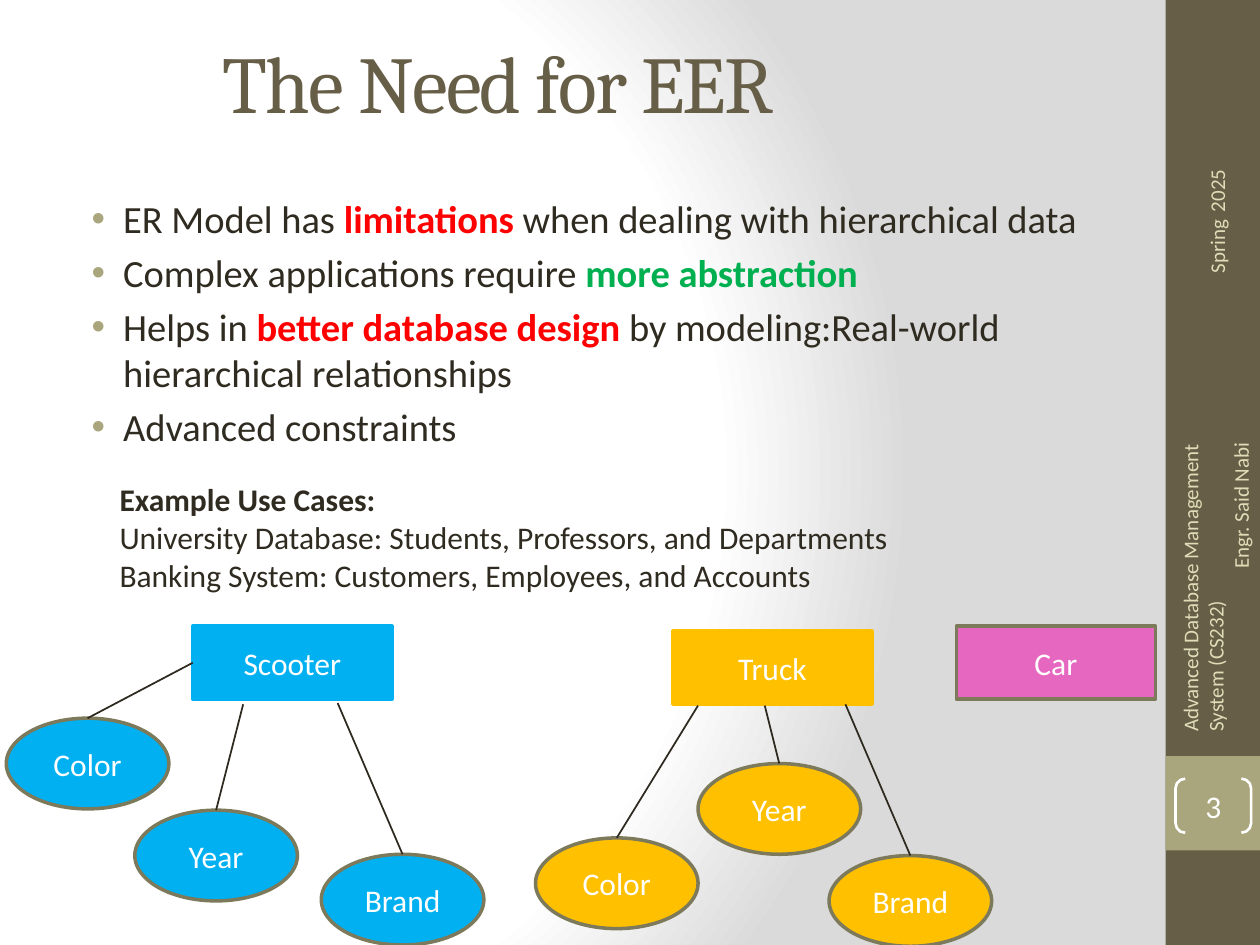
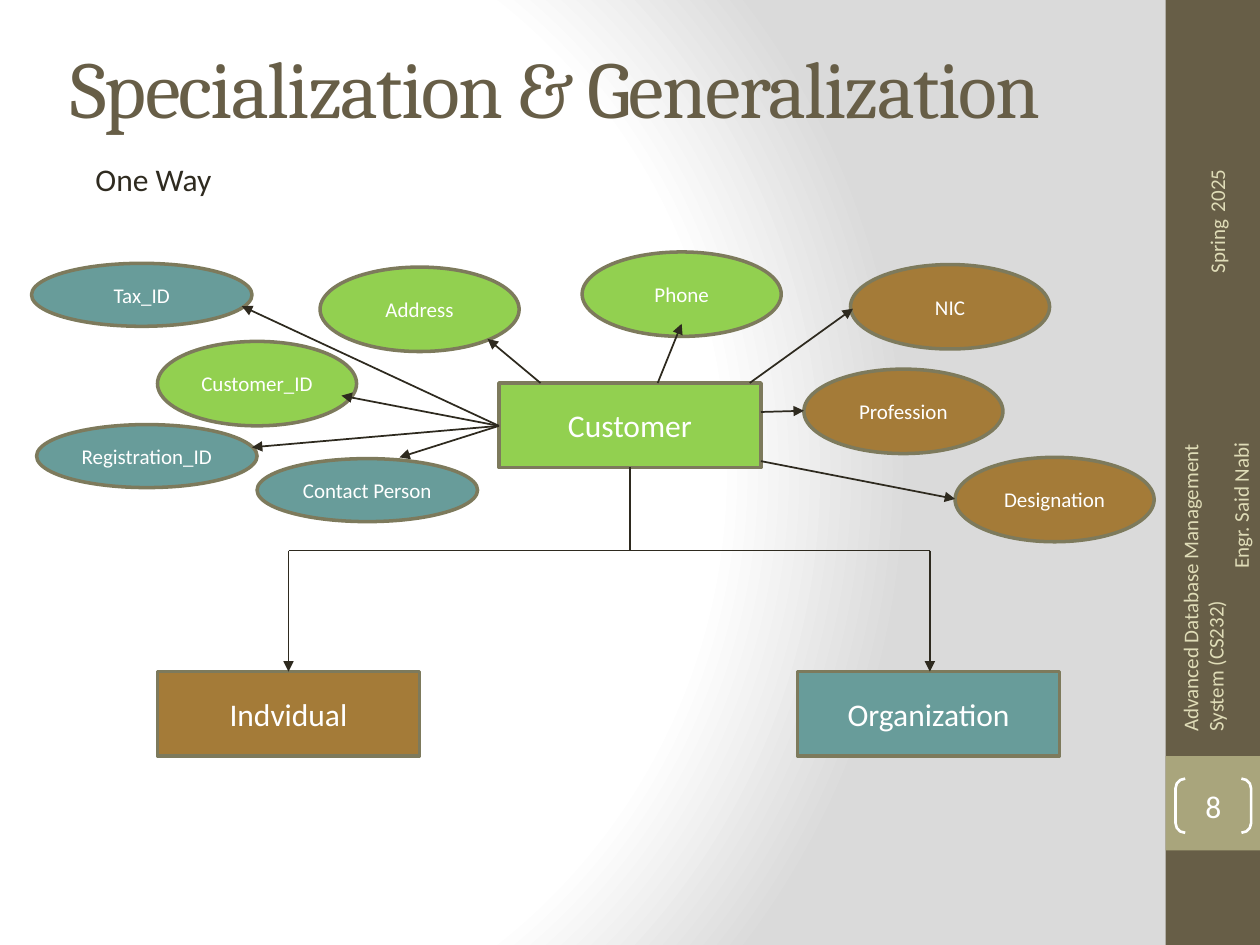
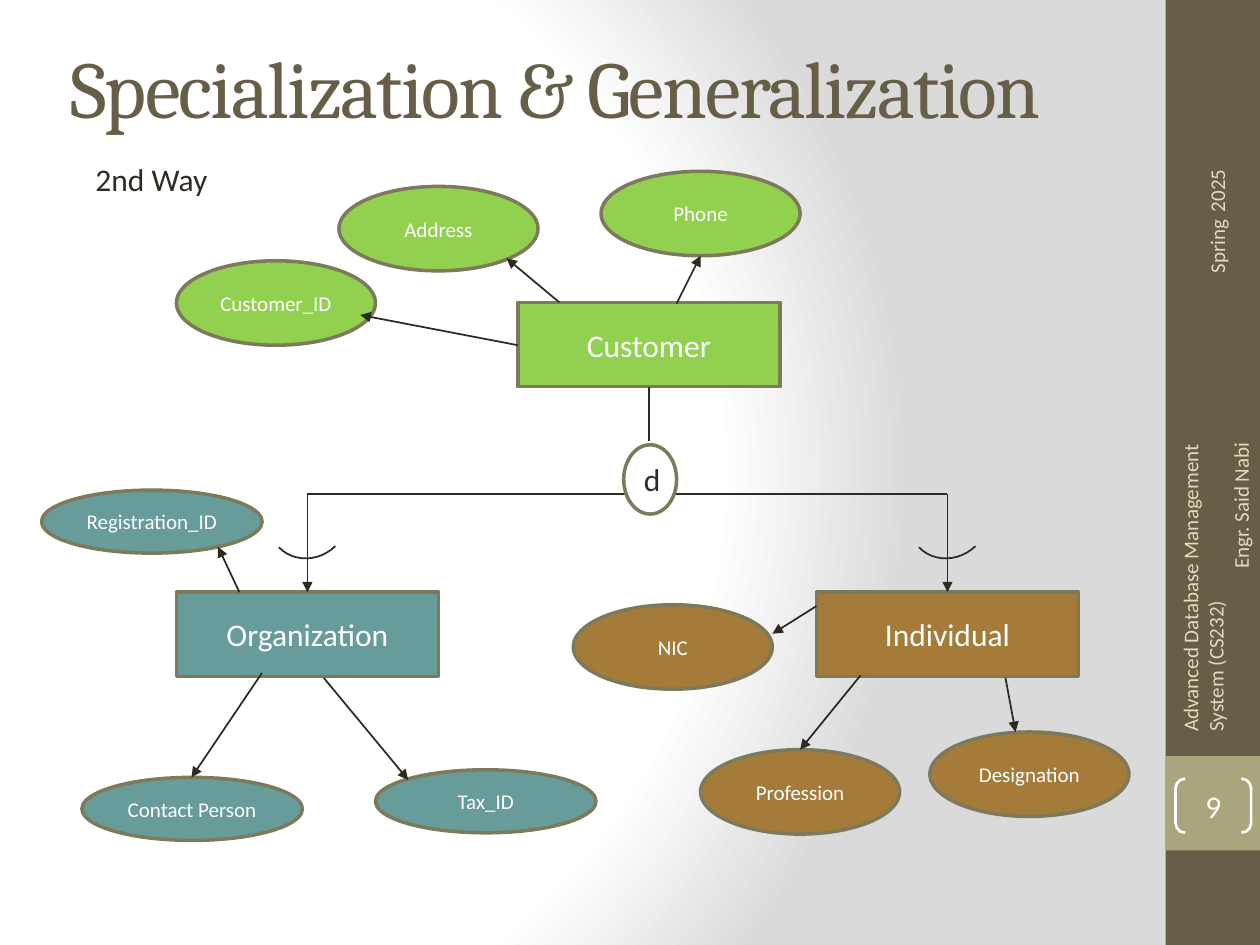
"""Build three slides on the enhanced entity-relationship model."""
from dataclasses import dataclass
from typing import NamedTuple

from lxml import etree
from pptx import Presentation
from pptx.dml.color import RGBColor
from pptx.enum import shapes, text
from pptx.oxml import ns, parse_xml
from pptx.util import Inches, Pt

COLORS = {
    "paper": "FFFFFF", "shade": "DADADA", "band": "675E47", "badge": "A9A57C",
    "footer": "DFDCB7", "gap": "ECEAD4", "ink": "2F2B20", "line": "2E2A1F",
    "outline": "7D7A5C", "red": "FF0000", "green": "00B050",
    "scooter": "00B0F0", "truck": "FFC000", "car": "E567C0",
    "customer": "92D050", "individual": "A47B38", "organization": "689C9A",
}
BODY_FONT, TITLE_FONT = "Calibri", "Cambria"
LEFT, CENTER, RIGHT = text.PP_ALIGN.LEFT, text.PP_ALIGN.CENTER, text.PP_ALIGN.RIGHT
PRESET = shapes.MSO_SHAPE


class Run(NamedTuple):
    words: str
    size: float = 18
    color: str = "ink"
    bold: bool = False
    font: str = BODY_FONT
    spacing: int = 0


@dataclass(frozen=True)
class Para:
    runs: list[Run]
    align: text.PP_ALIGN = LEFT
    indent: float = 0
    bullet: bool = False


class Box(NamedTuple):
    left: float
    top: float
    width: float
    height: float


@dataclass(frozen=True)
class Kind:
    preset: shapes.MSO_SHAPE
    width: float
    height: float
    size: float


class Node(NamedTuple):
    label: str
    kind: Kind
    fill: str
    left: float
    top: float
    outline: str = "outline"
    ink: str = "paper"


class Link(NamedTuple):
    x1: float
    y1: float
    x2: float
    y2: float
    arrow: bool = True


VEHICLE = Kind(PRESET.RECTANGLE, 1.58, 0.58, 18)
FEATURE = Kind(PRESET.OVAL, 1.29, 0.72, 18)
ENTITY = Kind(PRESET.RECTANGLE, 2.08, 0.67, 18)
ATTRIBUTE = Kind(PRESET.OVAL, 1.58, 0.67, 12)
WIDE_ATTRIBUTE = Kind(PRESET.OVAL, 1.75, 0.5, 12)
DISJOINT = Kind(PRESET.OVAL, 0.42, 0.55, 18)


def rgb(name: str) -> RGBColor:
    return RGBColor.from_string(COLORS[name])


def inches(box: Box) -> list[Inches]:
    return [Inches(length) for length in box]


def write(frame, paras: list[Para], middle: bool = False, wrap: bool = True) -> None:
    frame.word_wrap = wrap
    frame.vertical_anchor = text.MSO_ANCHOR.MIDDLE if middle else text.MSO_ANCHOR.TOP
    for index, para in enumerate(paras):
        line = frame.add_paragraph() if index else frame.paragraphs[0]
        line.alignment = para.align
        props = line._p.get_or_add_pPr()
        if para.indent:
            props.set("marL", str(Inches(para.indent)))
        if para.bullet:
            line.space_before = Pt(4.4)
            props.set("indent", str(Inches(-0.25)))
            tint = etree.SubElement(props, ns.qn("a:buClr"))
            etree.SubElement(tint, ns.qn("a:srgbClr"), val=COLORS["badge"])
            etree.SubElement(props, ns.qn("a:buFont"), typeface="Arial")
            etree.SubElement(props, ns.qn("a:buChar"), char="•")
        for part in para.runs:
            run = line.add_run()
            run.text = part.words
            run.font.size = Pt(part.size)
            run.font.name = part.font
            run.font.bold = part.bold
            run.font.color.rgb = rgb(part.color)
            if part.spacing:
                run._r.get_or_add_rPr().set("spc", str(part.spacing))


def add_text(slide, box: Box, paras: list[Para], middle: bool = False,
             wrap: bool = True, rotation: float = 0) -> None:
    label = slide.shapes.add_textbox(*inches(box))
    label.rotation = rotation
    write(label.text_frame, paras, middle, wrap)


def add_preset(slide, preset: shapes.MSO_SHAPE, box: Box, fill: str = "",
               outline: str = "", weight: float = 2):
    figure = slide.shapes.add_shape(preset, *inches(box))
    figure.shadow.inherit = False
    if fill:
        figure.fill.solid()
        figure.fill.fore_color.rgb = rgb(fill)
    else:
        figure.fill.background()
    if outline:
        figure.line.color.rgb = rgb(outline)
        figure.line.width = Pt(weight)
    else:
        figure.line.fill.background()
    return figure


def add_node(slide, node: Node) -> None:
    kind = node.kind
    box = Box(node.left, node.top, kind.width, kind.height)
    figure = add_preset(slide, kind.preset, box, node.fill, node.outline)
    write(figure.text_frame, [Para([Run(node.label, kind.size, node.ink)], CENTER)], middle=True)


def add_link(slide, link: Link) -> None:
    ends = [Inches(length) for length in link[:4]]
    connector = slide.shapes.add_connector(shapes.MSO_CONNECTOR.STRAIGHT, *ends)
    connector.line.color.rgb = rgb("line")
    connector.line.width = Pt(1)
    if link.arrow:
        etree.SubElement(connector.line._get_or_add_ln(), ns.qn("a:tailEnd"), type="triangle")
    etree.SubElement(connector._element.spPr, ns.qn("a:effectLst"))


def add_diagram(slide, nodes: list[Node], links: list[Link]) -> None:
    for node in nodes:
        add_node(slide, node)
    for link in links:
        add_link(slide, link)


def set_background(prs) -> None:
    fill = prs.slide_master.background.fill
    fill.solid()
    props = prs.slide_master.element.find(".//" + ns.qn("p:bgPr"))
    stops = "".join(
        f'<a:gs pos="{pos}"><a:srgbClr val="{COLORS[name]}"/></a:gs>'
        for pos, name in ((0, "paper"), (75000, "paper"), (100000, "shade")))
    gradient = parse_xml(
        f'<a:gradFill {ns.nsdecls("a")} rotWithShape="1"><a:gsLst>{stops}</a:gsLst>'
        '<a:path path="circle"><a:fillToRect l="20000" t="50000" r="100000" b="50000"/>'
        '</a:path></a:gradFill>')
    props.replace(props.find(ns.qn("a:solidFill")), gradient)


def start_slide(prs, number: int, title: str, left: float, top: float):
    slide = prs.slides.add_slide(prs.slide_layouts[6])
    add_preset(slide, PRESET.RECTANGLE, Box(9.25, 0, 0.75, 7.5), "band")
    add_preset(slide, PRESET.RECTANGLE, Box(9.25, 6, 0.75, 0.75), "badge")
    course = Run("Advanced Database Management System (CS232)", 12, "footer")
    teacher = Run("Engr. Said Nabi", 12, "footer")
    add_text(slide, Box(8.35, 4.51, 2.59, 0.4),
             [Para([course], indent=0.1), Para([teacher], RIGHT)], middle=True, rotation=270)
    term = [Run("Spring", 12, "footer"), Run(" ", 18, "gap"), Run("2025", 12, "footer")]
    add_text(slide, Box(9.11, 1.55, 1.03, 0.4), [Para(term)], wrap=False, rotation=270)
    bracket = add_preset(slide, PRESET.DOUBLE_BRACKET, Box(9.33, 6.18, 0.6, 0.43),
                         outline="paper", weight=1.5)
    bracket.adjustments[0] = 0.179
    frame = bracket.text_frame
    frame.margin_left = frame.margin_right = frame.margin_top = frame.margin_bottom = 0
    write(frame, [Para([Run(str(number), color="paper")], CENTER)], middle=True)
    heading = Run(title, 46, "band", font=TITLE_FONT, spacing=-100)
    add_text(slide, Box(left, top, 8.33, 1.25), [Para([heading])], middle=True)
    return slide


def start_way_slide(prs, number: int, way: str):
    slide = start_slide(prs, number, "Specialization & Generalization", 0.46, 0.06)
    add_text(slide, Box(0.66, 1.22, 1.13, 0.4), [Para([Run(way)])], wrap=False)
    return slide


def add_customer(slide, dx: float, dy: float) -> None:
    nodes = [
        Node("Customer", ENTITY, "customer", 3.96 + dx, 3.04 + dy),
        Node("Customer_ID", ATTRIBUTE, "customer", 1.25 + dx, 2.71 + dy),
        Node("Address", ATTRIBUTE, "customer", 2.54 + dx, 2.12 + dy),
        Node("Phone", ATTRIBUTE, "customer", 4.62 + dx, 2 + dy),
    ]
    links = [
        Link(3.96 + dx, 3.38 + dy, 2.71 + dx, 3.14 + dy),
        Link(4.29 + dx, 3.04 + dy, 3.87 + dx, 2.69 + dy),
    ]
    add_diagram(slide, nodes, links)


def branches(left: float, right: float, bar: float, bottom: float) -> list[Link]:
    drops = [Link(x, bar, x, bottom) for x in (left, right)]
    return drops + [Link(left, bar, right, bar, arrow=False)]


def build_need(prs) -> None:
    slide = start_slide(prs, 3, "The Need for EER", 1.67, 0.02)
    points = [
        [Run("ER Model has ", 22), Run("limitations", 22, "red", True),
         Run(" when dealing with hierarchical data", 22)],
        [Run("Complex applications require ", 22), Run("more abstraction", 22, "green", True)],
        [Run("Helps in ", 22), Run("better database design ", 22, "red", True),
         Run("by modeling:Real-world hierarchical relationships", 22)],
        [Run("Advanced constraints", 22)],
    ]
    add_text(slide, Box(0.5, 1.5, 8.67, 2.42),
             [Para(runs, indent=0.38, bullet=True) for runs in points])
    add_text(slide, Box(0.85, 3.76, 7.08, 1.01), [
        Para([Run("Example Use Cases:", bold=True)]),
        Para([Run("University Database: Students, Professors, and Departments")]),
        Para([Run("Banking System: Customers, Employees, and Accounts")]),
    ])
    nodes = [
        Node("Scooter", VEHICLE, "scooter", 1.53, 4.97, "scooter"),
        Node("Car", VEHICLE, "car", 7.59, 4.97),
        Node("Truck", VEHICLE, "truck", 5.34, 5.01, "truck"),
    ]
    feature_spots = {
        "scooter": [(0.05, 5.7), (1.07, 6.43), (2.55, 6.78)],
        "truck": [(4.25, 6.65), (5.54, 6.06), (6.58, 6.79)],
    }
    anchors = {
        "scooter": [(1.53, 5.26), (1.93, 5.59), (2.68, 5.58)],
        "truck": [(5.54, 5.6), (6.07, 5.6), (6.71, 5.59)],
    }
    links = []
    for vehicle, spots in feature_spots.items():
        for label, (left, top), anchor in zip(("Color", "Year", "Brand"), spots, anchors[vehicle]):
            nodes.append(Node(label, FEATURE, vehicle, left, top))
            links.append(Link(left + FEATURE.width / 2, top, *anchor, arrow=False))
    add_diagram(slide, nodes, links)


def build_one_way(prs) -> None:
    slide = start_way_slide(prs, 8, "One Way")
    add_customer(slide, 0, 0)
    nodes = [
        Node("Indvidual", ENTITY, "individual", 1.25, 5.33),
        Node("Organization", ENTITY, "organization", 6.33, 5.33),
        Node("NIC", ATTRIBUTE, "individual", 6.75, 2.1),
        Node("Profession", ATTRIBUTE, "individual", 6.38, 2.93),
        Node("Designation", ATTRIBUTE, "individual", 7.58, 3.63),
        Node("Registration_ID", WIDE_ATTRIBUTE, "organization", 0.29, 3.37),
        Node("Tax_ID", WIDE_ATTRIBUTE, "organization", 0.25, 2.09),
        Node("Contact Person", WIDE_ATTRIBUTE, "organization", 2.04, 3.64),
    ]
    links = branches(2.29, 7.38, 4.37, 5.33) + [
        Link(5, 4.37, 5, 3.71, arrow=False),
        Link(3.96, 3.38, 1.92, 2.43),
        Link(3.96, 3.38, 2, 3.55),
        Link(3.96, 3.38, 3.17, 3.63),
        Link(5.22, 3.04, 5.41, 2.57),
        Link(5.95, 3.04, 6.77, 2.45),
        Link(6.04, 3.66, 7.58, 3.96),
        Link(6.04, 3.27, 6.38, 3.26),
    ]
    add_diagram(slide, nodes, links)


def build_second_way(prs) -> None:
    slide = start_way_slide(prs, 9, "2nd Way")
    add_customer(slide, 0.15, -0.64)
    organization_x, individual_x = 2.44, 7.52
    nodes = [
        Node("Organization", ENTITY, "organization", 1.4, 4.7),
        Node("Individual", ENTITY, "individual", 6.48, 4.7),
        Node("NIC", ATTRIBUTE, "individual", 4.55, 4.8),
        Node("Profession", ATTRIBUTE, "individual", 5.56, 5.95),
        Node("Designation", ATTRIBUTE, "individual", 7.38, 5.81),
        Node("Registration_ID", WIDE_ATTRIBUTE, "organization", 0.33, 3.89),
        Node("Tax_ID", WIDE_ATTRIBUTE, "organization", 2.98, 6.11),
        Node("Contact Person", WIDE_ATTRIBUTE, "organization", 0.65, 6.17),
    ]
    links = branches(organization_x, individual_x, 3.92, 4.7) + [
        Link(5.15, 3.5, 5.15, 3.07, arrow=False),
        Link(1.9, 4.7, 1.73, 4.34),
        Link(2.08, 5.34, 1.52, 6.17),
        Link(2.57, 5.38, 3.24, 6.19),
        Link(5.37, 2.41, 5.56, 2.03),
        Link(6.48, 4.81, 6.13, 5.03),
        Link(7.98, 5.38, 8.06, 5.81),
        Link(6.83, 5.36, 6.35, 5.95),
    ]
    add_diagram(slide, nodes, links)
    add_node(slide, Node("d", DISJOINT, "paper", 4.95, 3.53, ink="ink"))
    for branch_x in (organization_x, individual_x):
        subset = add_preset(slide, PRESET.ARC, Box(branch_x - 0.32, 3.81, 0.66, 0.61),
                            outline="line", weight=1)
        subset.rotation = 136.1


def main() -> None:
    prs = Presentation()
    prs.slide_width, prs.slide_height = Inches(10), Inches(7.5)
    set_background(prs)
    build_need(prs)
    build_one_way(prs)
    build_second_way(prs)
    prs.save("out.pptx")


if __name__ == "__main__":
    main()
